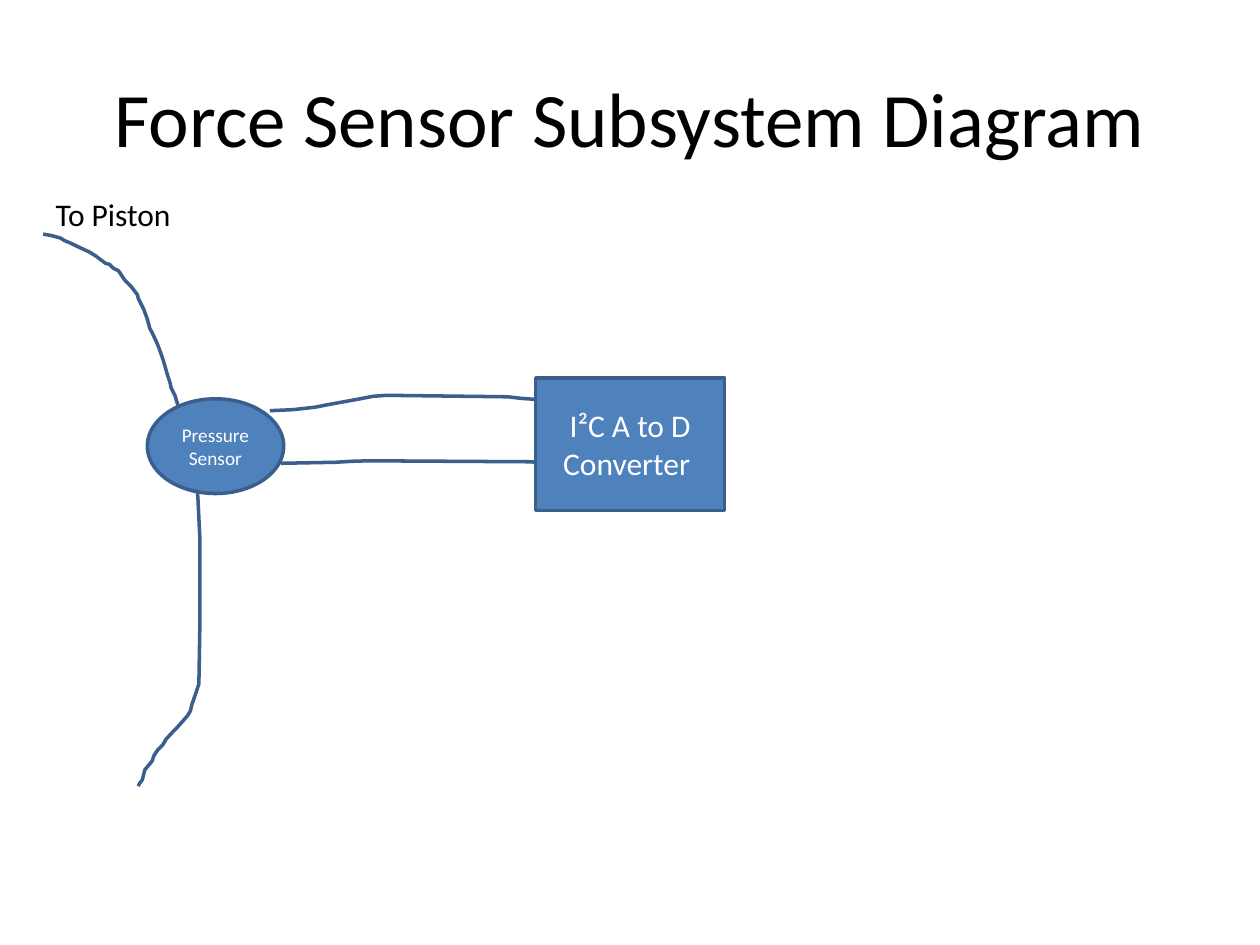
from dataclasses import dataclass

from pptx import Presentation
from pptx.dml.color import RGBColor
from pptx.enum.shapes import MSO_SHAPE as Preset
from pptx.enum.text import MSO_ANCHOR as Anchor, PP_ALIGN as Align
from pptx.util import Cm, Pt

COLORS = {"text": "000000", "label": "FFFFFF", "fill": "4F81BD", "line": "3A5F8C"}
FONT = "Calibri"
LINE_WIDTH = Pt(2)
POINT_UNIT = Cm(0.01)


@dataclass
class Box:
    left: float
    top: float
    width: float
    height: float

    def lengths(self) -> tuple[Cm, Cm, Cm, Cm]:
        return Cm(self.left), Cm(self.top), Cm(self.width), Cm(self.height)


@dataclass
class Component:
    preset: Preset
    box: Box
    label: str
    size: float


@dataclass
class Wire:
    points: list[tuple[int, int]]


TUBE = Wire([
    (87, 472), (104, 475), (122, 480), (130, 485), (142, 490), (152, 495),
    (180, 508), (193, 516), (213, 531), (221, 533), (229, 541), (239, 546),
    (251, 564), (264, 577), (277, 594), (279, 602), (290, 624), (297, 643),
    (302, 662), (307, 671), (318, 695), (325, 714), (330, 729), (338, 757),
    (343, 772), (345, 782), (353, 798), (366, 841), (371, 851), (378, 881),
    (381, 897), (384, 912), (389, 930), (394, 950), (399, 1003), (403, 1085),
    (403, 1260), (401, 1379), (394, 1400), (387, 1420), (384, 1433),
    (378, 1443), (356, 1468), (348, 1476), (335, 1490), (328, 1502),
    (318, 1512), (310, 1524), (307, 1534), (292, 1552), (290, 1560),
    (287, 1572), (281, 1580), (279, 1585),
])
SIGNAL_WIRES = [
    Wire([
        (567, 934), (676, 932), (710, 930), (744, 929), (1074, 931),
        (1082, 934), (1105, 937), (1130, 937),
    ]),
    Wire([
        (544, 828), (590, 826), (635, 821), (655, 817), (693, 810),
        (721, 805), (752, 799), (780, 797), (1024, 800), (1049, 803),
        (1090, 806), (1130, 810), (1151, 813), (1184, 815), (1209, 818),
    ]),
]
SENSOR = Component(Preset.OVAL, Box(2.97, 8.04, 2.75, 1.91), "Pressure Sensor", 11)
CONVERTER = Component(Preset.RECTANGLE, Box(10.8, 7.62, 3.81, 2.67),
                      "I²C A to D Converter ", 18)


def color(name: str) -> RGBColor:
    return RGBColor.from_string(COLORS[name])


def write(shape, text: str, size: float, color_name: str, align: Align, anchor: Anchor) -> None:
    frame = shape.text_frame
    frame.word_wrap = True
    frame.vertical_anchor = anchor
    paragraph = frame.paragraphs[0]
    paragraph.alignment = align
    run = paragraph.add_run()
    run.text = text
    run.font.name = FONT
    run.font.size = Pt(size)
    run.font.color.rgb = color(color_name)


def outline(shape) -> None:
    shape.shadow.inherit = False
    shape.line.color.rgb = color("line")
    shape.line.width = LINE_WIDTH


def draw_wire(slide, wire: Wire) -> None:
    start, *rest = wire.points
    builder = slide.shapes.build_freeform(*start, scale=POINT_UNIT)
    builder.add_line_segments(rest, close=False)
    shape = builder.convert_to_shape()
    shape.fill.background()
    outline(shape)


def draw_component(slide, component: Component) -> None:
    shape = slide.shapes.add_shape(component.preset, *component.box.lengths())
    shape.fill.solid()
    shape.fill.fore_color.rgb = color("fill")
    outline(shape)
    write(shape, component.label, component.size, "label", Align.CENTER, Anchor.MIDDLE)


presentation = Presentation()
presentation.slide_width, presentation.slide_height = Cm(25.4), Cm(19.05)
slide = presentation.slides.add_slide(presentation.slide_layouts[5])

title = slide.shapes.title
title.left, title.top, title.width, title.height = Box(1.27, 0.76, 22.86, 3.18).lengths()
write(title, "Force Sensor Subsystem Diagram", 44, "text", Align.CENTER, Anchor.MIDDLE)

draw_wire(slide, TUBE)
piston_label = slide.shapes.add_textbox(*Box(0.87, 3.81, 3.58, 1.03).lengths())
write(piston_label, "To Piston", 18, "text", Align.LEFT, Anchor.TOP)

draw_component(slide, SENSOR)
for wire in SIGNAL_WIRES:
    draw_wire(slide, wire)
draw_component(slide, CONVERTER)

presentation.save("out.pptx")
